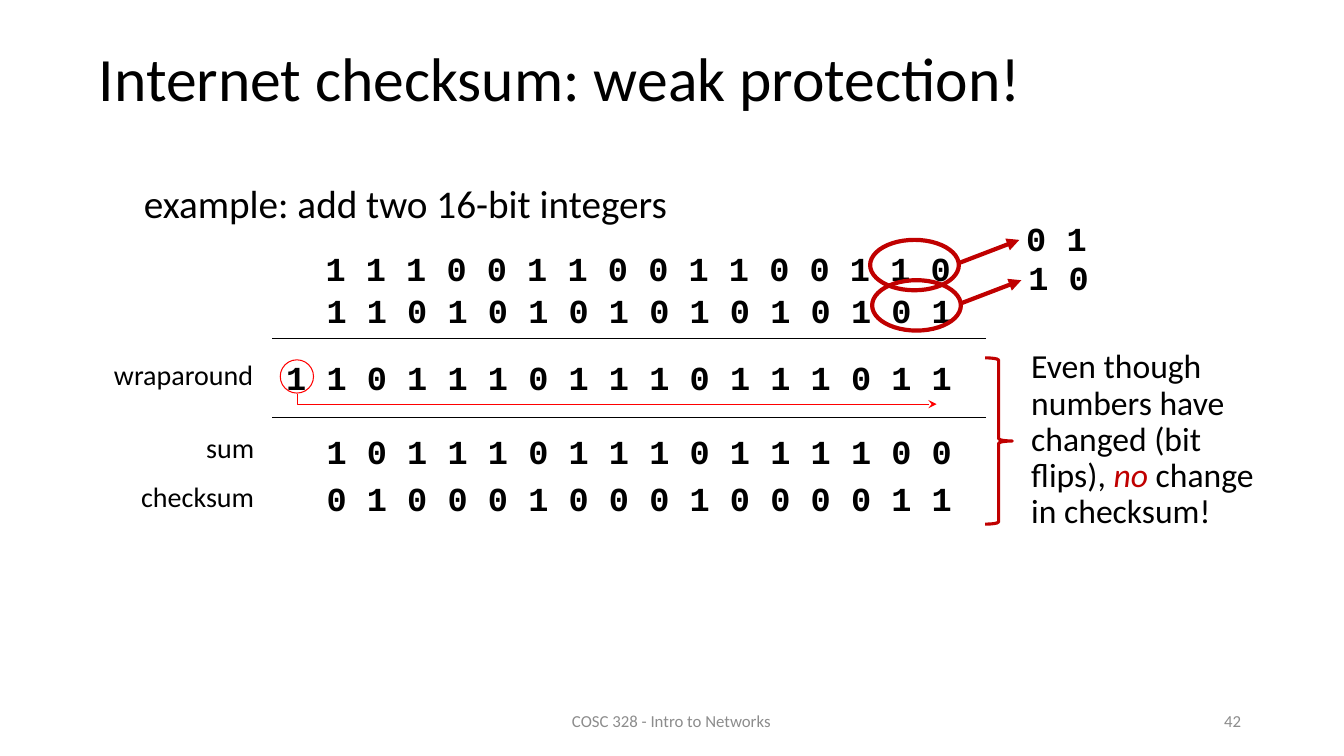
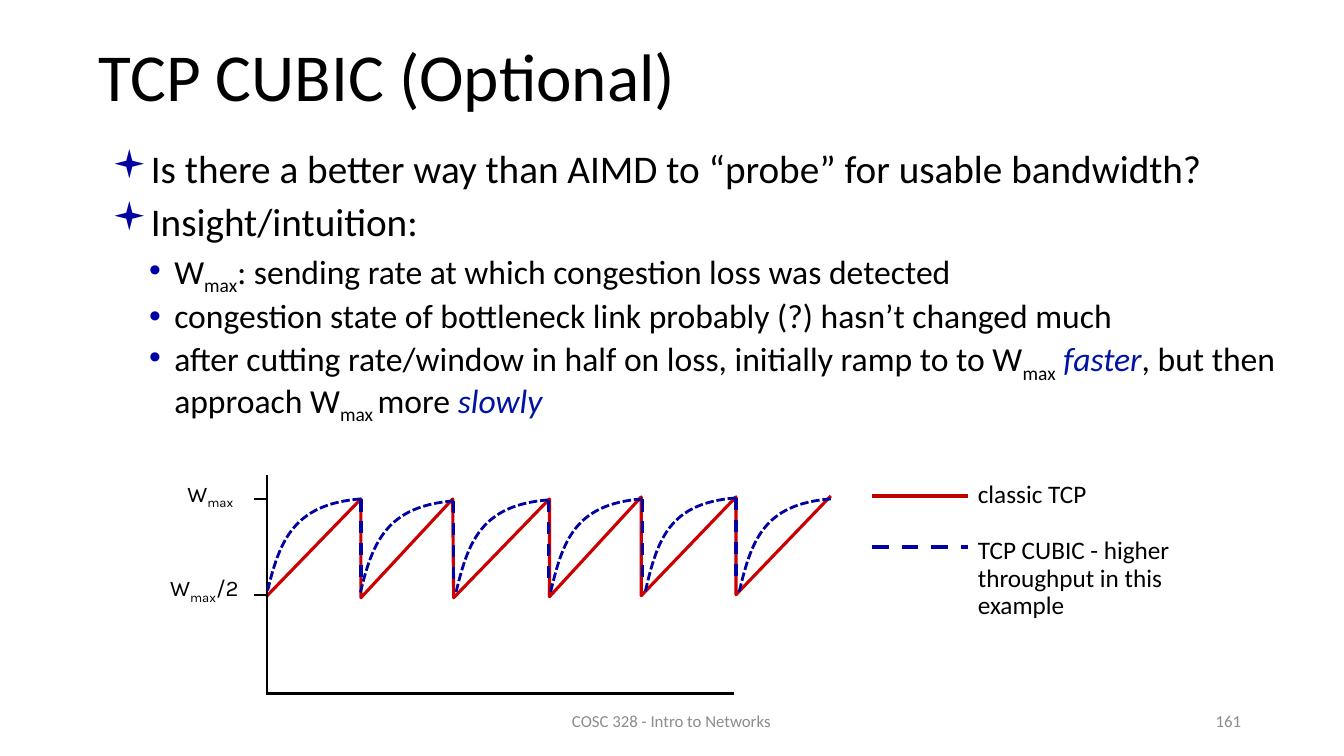
"""Build two network slides: the Internet checksum and TCP CUBIC."""
from lxml import etree
from pptx import Presentation
from pptx.dml.color import RGBColor
from pptx.enum.dml import MSO_LINE
from pptx.enum.shapes import MSO_CONNECTOR, MSO_SHAPE
from pptx.enum.text import MSO_ANCHOR, MSO_AUTO_SIZE, PP_ALIGN
from pptx.oxml.ns import qn
from pptx.util import Pt

PX = 9144
LEFT, MID, RIGHT = PP_ALIGN.LEFT, PP_ALIGN.CENTER, PP_ALIGN.RIGHT
TOP, CENTRE = MSO_ANCHOR.TOP, MSO_ANCHOR.MIDDLE
DASH, DOTS = MSO_LINE.DASH, MSO_LINE.SQUARE_DOT
OVAL, BRACE = MSO_SHAPE.OVAL, MSO_SHAPE.RIGHT_BRACE
STRAIGHT, FIXED = MSO_CONNECTOR.STRAIGHT, MSO_AUTO_SIZE.NONE
BLACK, GREY = "000000", "8C8C8C"
RED, PURE, SAW = "C00000", "FF0000", "CC0000"
BLUE, NAVY, INK = "0000A3", "0000A8", "0013A3"
FACE, CODE, AXIS = "Calibri", "Courier New", "Karla"
hue = RGBColor.from_string


def write(shape, paras, size, tint=BLACK, face=FACE, bold=False,
          align=LEFT, anchor=TOP, space=1.0):
    """Fill a shape with paragraphs of plain, subscript or tinted italic runs."""
    frame = shape.text_frame
    for name, value in {"word_wrap": True, "auto_size": FIXED,
                        "vertical_anchor": anchor}.items():
        setattr(frame, name, value)
    for i, runs in enumerate(paras):
        para = frame.add_paragraph() if i else frame.paragraphs[0]
        para.alignment, para.line_spacing = align, space
        for part in runs:
            text, mark = (part, None) if isinstance(part, str) else part
            run = para.add_run()
            run.text = text
            accent = mark not in (None, "sub")
            form = {"name": face, "size": Pt(size), "bold": bold, "italic": accent}
            for name, value in form.items():
                setattr(run.font, name, value)
            run.font.color.rgb = hue(mark if accent else tint)
            if mark == "sub":
                run.font._element.set("baseline", "-25000")
    return frame


def draw(slide, points, tint, width, dash=None, tail=None, bend=False):
    """Draw a straight connector, an open outline, or one bent by its inner points."""
    spots = [(x * PX, y * PX) for x, y in points]
    if len(spots) == 2:
        shape = slide.shapes.add_connector(STRAIGHT, *spots[0], *spots[1])
    else:
        pen = slide.shapes.build_freeform(*spots[0])
        pen.add_line_segments(spots[1:], close=False)
        shape = pen.convert_to_shape()
        shape.fill.background()
        shape.shadow.inherit = False
    shape.line.color.rgb = hue(tint)
    shape.line.width = Pt(width)
    if dash:
        shape.line.dash_style = dash
    props = shape._element.spPr
    if bend:
        steps = list(props.iter(qn("a:lnTo")))
        curve = etree.SubElement(steps[0].getparent(), qn("a:cubicBezTo"))
        for step in steps:
            curve.append(step[0])
            step.getparent().remove(step)
    if tail:
        etree.SubElement(props.find(qn("a:ln")), qn("a:tailEnd"), type=tail)
    if len(spots) == 2:
        etree.SubElement(props, qn("a:effectLst"))


deck = Presentation()
deck.slide_width, deck.slide_height = 1333 * PX, 750 * PX

pages = []
for title, size, top, number in [
    ("Internet checksum: weak protection!", 44, 32, "42"),
    ("TCP CUBIC (Optional)", 48, 30, "161"),
]:
    page = deck.slides.add_slide(deck.slide_layouts[5])
    head = page.shapes.title
    head.left, head.top, head.width, head.height = [n * PX for n in (88, top, 1214, 98)]
    write(head, [[title]], size, anchor=CENTRE, space=0.9)
    for x, w, text, align in [(441, 450, "COSC 328 - Intro to Networks", MID),
                              (941, 300, number, RIGHT)]:
        foot = page.shapes.add_textbox(x * PX, 695 * PX, w * PX, 40 * PX)
        write(foot, [[text]], 12, GREY, align=align, anchor=CENTRE)
    pages.append(page)
sums, cubic = pages

note = ["Even though numbers have changed (bit flips), ", ("no", RED),
        " change in checksum!"]
bits = {"face": CODE, "bold": True}
label = {"align": RIGHT}
for x, y, w, h, runs, size, form in [
    (133, 159, 850, 70, ["example: add two 16-bit integers"], 28, {"space": 1.3}),
    (103, 350, 158, 44, ["wraparound"], 20, label),
    (103, 422, 159, 44, ["sum"], 20, label),
    (103, 471, 159, 44, ["checksum"], 20, label),
    (313, 241, 645, 50, ["1 1 1 0 0 1 1 0 0 1 1 0 0 1 1 0"], 24, bits),
    (314, 283, 645, 50, ["1 1 0 1 0 1 0 1 0 1 0 1 0 1 0 1"], 24, bits),
    (274, 349, 685, 50, ["1 1 0 1 1 1 0 1 1 1 0 1 1 1 0 1 1"], 24, bits),
    (314, 423, 645, 50, ["1 0 1 1 1 0 1 1 1 0 1 1 1 1 0 0"], 24, bits),
    (314, 469, 645, 50, ["0 1 0 0 0 1 0 0 0 1 0 0 0 0 1 1"], 24, bits),
    (1008, 211, 101, 50, ["0 1"], 24, bits),
    (1010, 250, 101, 50, ["1 0"], 24, bits),
    (1013, 342, 263, 192, note, 24, {"space": 0.9}),
]:
    box = sums.shapes.add_textbox(x * PX, y * PX, w * PX, h * PX)
    write(box, [runs], size, **form)

for kind, x, y, w, h, tint, width in [
    (OVAL, 278, 357, 33, 33, PURE, 0.75),
    (OVAL, 863, 238, 88, 50, RED, 3),
    (OVAL, 865, 278, 88, 50, RED, 3),
    (BRACE, 977, 355, 27, 165, RED, 2.25),
]:
    ring = sums.shapes.add_shape(kind, x * PX, y * PX, w * PX, h * PX)
    ring.shadow.inherit = False
    ring.fill.background()
    ring.line.color.rgb = hue(tint)
    ring.line.width = Pt(width)

for y in (336, 414):
    draw(sums, [(978, y), (270, y)], BLACK, 1)
for x, y in [(951, 261), (953, 301)]:
    draw(sums, [(x, y), (x + 60, y - 23)], RED, 3, tail="triangle")
draw(sums, [(295, 391), (295, 401), (929, 401)], PURE, 0.75, tail="stealth")

points = [
    (0, 0, ["Is there a better way than AIMD to “probe” for usable bandwidth?"]),
    (0, 7, ["Insight/intuition:"]),
    (1, 5, ["W", ("max", "sub"),
            ": sending rate at which congestion loss was detected"]),
    (1, 5, ["congestion state of bottleneck link probably (?) hasn’t changed much"]),
    (1, 2, ["after cutting rate/window in half on loss, initially ramp to to W",
            ("max", "sub"), " ", ("faster", INK), ", but then approach W",
            ("max ", "sub"), "more ", ("slowly", INK)]),
]
styles = [(28, 50, -36, "Wingdings", "▪", BLUE), (24, 76, -25, "Arial", "•", NAVY)]
body = cubic.shapes.add_textbox(87 * PX, 144 * PX, 1221 * PX, 284 * PX)
frame = write(body, [runs for *_, runs in points], 24, space=0.9)
for para, (level, gap, _) in zip(frame.paragraphs, points):
    size, margin, indent, face, sign, tint = styles[level]
    props = para._p.get_or_add_pPr()
    props.set("marL", str(margin * PX))
    props.set("indent", str(indent * PX))
    paint = etree.SubElement(props, qn("a:buClr"))
    etree.SubElement(paint, qn("a:srgbClr"), val=tint)
    etree.SubElement(props, qn("a:buFont"), typeface=face)
    etree.SubElement(props, qn("a:buChar"), char=sign)
    para.level, para.space_before = level, Pt(gap)
    for run in para.runs:
        run.font.size = Pt(size)

draw(cubic, [(264, 592), (358, 495), (358, 593), (449, 495), (450, 593), (545, 495),
             (545, 592), (636, 493), (636, 591), (730, 493), (730, 590), (824, 492)],
     SAW, 2.25)
for ends in [
    [(264, 688), (728, 688)],
    [(265, 471), (265, 689)],
    [(252, 495), (264, 495)],
    [(252, 590), (264, 590)],
]:
    draw(cubic, ends, BLACK, 1.5)

waves = [(265, 358, 495), (357, 450, 497), (452, 544, 496),
         (546, 637, 495), (640, 730, 494), (733, 824, 495)]
for left, right, top in waves:
    draw(cubic, [(right, top), (right - 67, top + 5), (left + 12, top + 42),
                 (left, top + 93)], BLUE, 2, DOTS, bend=True)
for _, right, top in waves[:-1]:
    draw(cubic, [(right, top), (right, top + 87)], BLUE, 2.25, DASH)

for y, tint, dash in [(492, RED, None), (543, BLUE, DASH)]:
    draw(cubic, [(865, y), (960, y)], tint, 3, dash)
for x, y, w, h, runs, size, form in [
    (176, 471, 80, 37, ["W", ("max", "sub")], 16, {"face": AXIS}),
    (159, 565, 100, 37, ["W", ("max", "sub"), "/2"], 16, {"face": AXIS}),
    (960, 470, 150, 40, ["classic TCP"], 18, {}),
    (960, 529, 239, 92, ["TCP CUBIC - higher throughput in this example"], 18,
     {"space": 0.9}),
]:
    box = cubic.shapes.add_textbox(x * PX, y * PX, w * PX, h * PX)
    write(box, [runs], size, **form)

deck.save("out.pptx")
